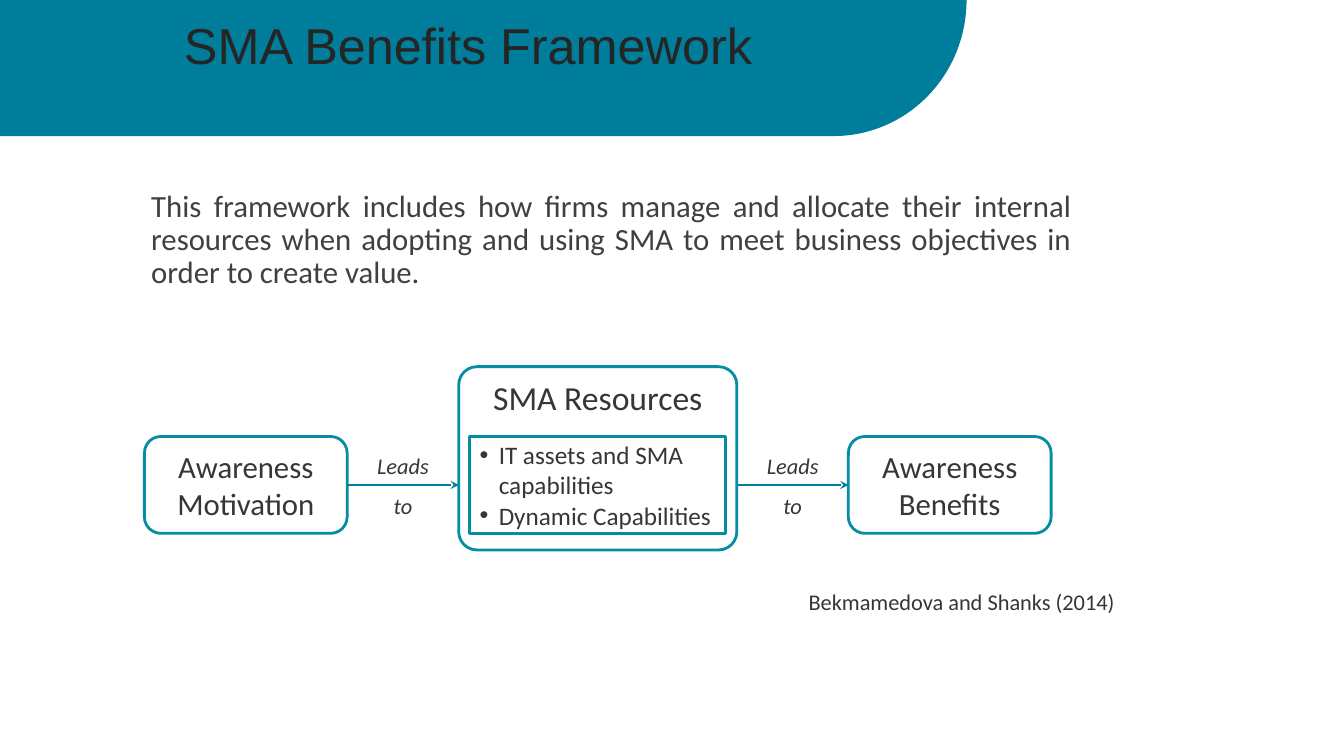
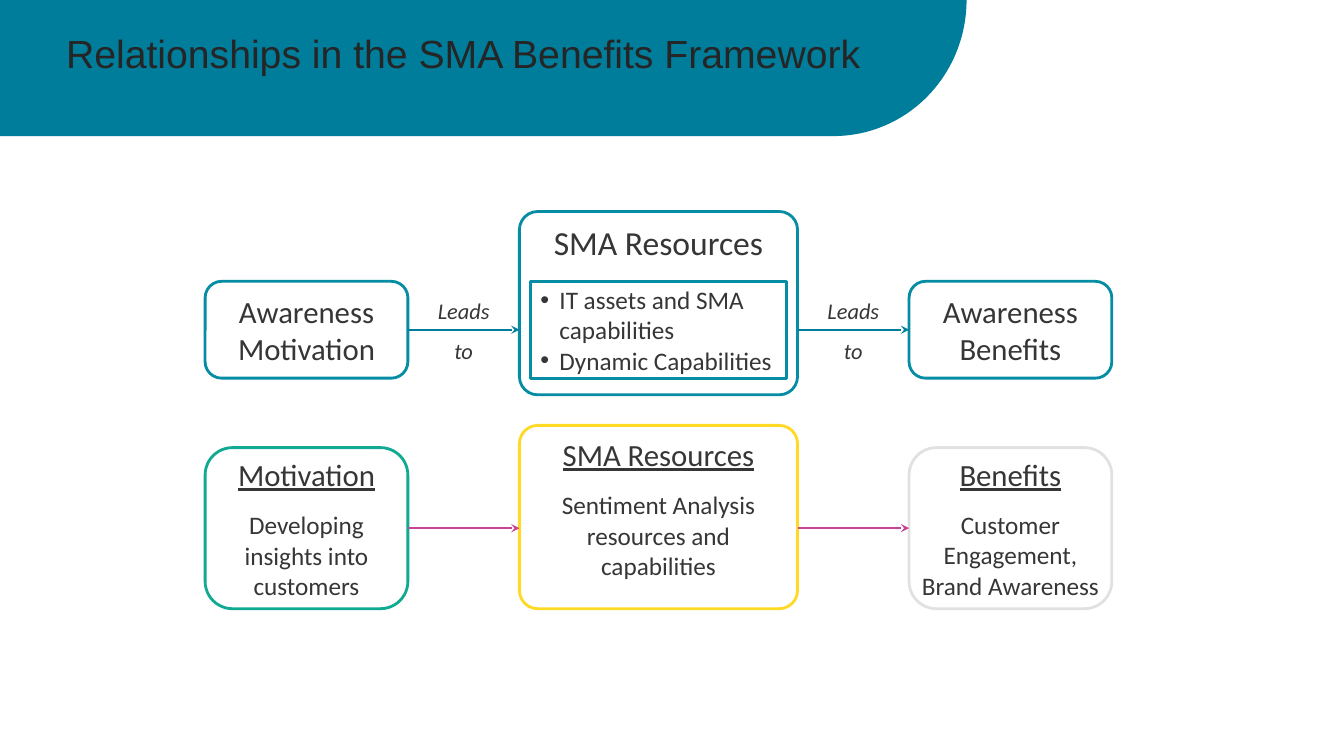
"""Build two slides on the SMA benefits framework."""
from dataclasses import dataclass
from math import cos, pi, sin
from typing import Any

from lxml.etree import SubElement
from pptx import Presentation
from pptx.dml.color import RGBColor
from pptx.enum.shapes import MSO_CONNECTOR as Link, MSO_SHAPE as Kind
from pptx.enum.text import MSO_ANCHOR as Anchor, MSO_AUTO_SIZE as Fit, PP_ALIGN as Align
from pptx.oxml.ns import qn
from pptx.util import Cm, Pt

BAND, EDGE, YELLOW, GREEN, GREY, PINK = "007D9B", "068DA4", "FFD923", "10A991", "E1E1E1", "C74298"
WHITE, INK, TITLE_INK, BODY_INK = "FFFFFF", "373636", "252525", "404040"
SIDE_WIDTH, RESOURCE_WIDTH, RESOURCE_HEIGHT, GAP = 5.11, 7.01, 4.62, 2.81
ASSETS_WIDTH, SIDE_HEIGHT = 6.45, 2.44
LABEL_WIDTH, LABEL_HEIGHT = 1.52, 2.06
CORNER, RESOURCE_CORNER = 0.17, 0.1


@dataclass(frozen=True)
class Para:
    """One paragraph and its look."""
    text: str
    size: int
    color: str = INK
    font: str = "Calibri"
    align: Any = Align.CENTER
    spacing: float = 1.0
    after: int = 0
    italic: bool = False
    underline: bool = False
    bullet: bool = False


@dataclass(frozen=True)
class Area:
    """A rectangle in centimetres."""
    left: float
    top: float
    width: float
    height: float

    def lengths(self) -> tuple:
        """Return left, top, width and height as lengths."""
        return Cm(self.left), Cm(self.top), Cm(self.width), Cm(self.height)


@dataclass(frozen=True)
class Card:
    """A bordered box with text."""
    area: Area
    edge: str
    paras: list
    corner: float = CORNER
    anchor: Any = Anchor.MIDDLE
    inset: tuple = (0.25, 0.13)


def rgb(code: str) -> RGBColor:
    """Turn a hex string into a colour."""
    return RGBColor.from_string(code)


def set_all(target: Any, values: dict) -> None:
    """Set every attribute in the dict on the target."""
    for name, value in values.items():
        setattr(target, name, value)


def write(box: Any, paras: list, anchor: Any = Anchor.TOP, inset: tuple = (0, 0)) -> None:
    """Write formatted paragraphs into a shape."""
    frame = box.text_frame
    side, edge = Cm(inset[0]), Cm(inset[1])
    set_all(frame, {"word_wrap": True, "auto_size": Fit.NONE, "vertical_anchor": anchor,
                    "margin_left": side, "margin_right": side,
                    "margin_top": edge, "margin_bottom": edge})
    for index, item in enumerate(paras):
        para = frame.add_paragraph() if index else frame.paragraphs[0]
        set_all(para, {"alignment": item.align, "line_spacing": item.spacing,
                       "space_before": Pt(0), "space_after": Pt(item.after)})
        indent = Cm(0.48) if item.bullet else 0
        props = para._p.get_or_add_pPr()
        props.set("marL", str(indent))
        props.set("indent", str(-indent))
        if item.bullet:
            SubElement(props, qn("a:buFont"), typeface="Arial")
            SubElement(props, qn("a:buChar"), char="•")
        else:
            SubElement(props, qn("a:buNone"))
        span = para.add_run()
        span.text = item.text
        set_all(span.font, {"size": Pt(item.size), "name": item.font, "bold": False,
                            "italic": item.italic, "underline": item.underline})
        span.font.color.rgb = rgb(item.color)


def add_card(page: Any, card: Card) -> Any:
    """Draw a bordered box and return it."""
    kind = Kind.ROUNDED_RECTANGLE if card.corner else Kind.RECTANGLE
    box = page.shapes.add_shape(kind, *card.area.lengths())
    box.shadow.inherit = False
    if card.corner:
        box.adjustments[0] = card.corner
    box.fill.solid()
    box.fill.fore_color.rgb = rgb(WHITE)
    box.line.color.rgb = rgb(card.edge)
    box.line.width = Pt(2)
    write(box, card.paras, card.anchor, card.inset)
    return box


def add_text(page: Any, area: Area, para: Para, inset: tuple = (0, 0)) -> None:
    """Add a plain text box."""
    write(page.shapes.add_textbox(*area.lengths()), [para], inset=inset)


def add_arrow(page: Any, start: int, end: int, level: int, color: str) -> Any:
    """Draw a horizontal arrow and return it."""
    arrow = page.shapes.add_connector(Link.STRAIGHT, start, level, end, level)
    arrow.line.color.rgb = rgb(color)
    arrow.line.width = Pt(1.5)
    props = arrow.element.spPr
    SubElement(props.find(qn("a:ln")), qn("a:tailEnd"), type="stealth")
    SubElement(props, qn("a:effectLst"))
    return arrow


def add_row(page: Any, cards: list, color: str) -> None:
    """Draw three cards joined by two arrows."""
    first, middle, last = [add_card(page, card) for card in cards]
    level = first.top + first.height // 2
    arrow = add_arrow(page, first.left + first.width, middle.left, level, color)
    arrow.begin_connect(first, 3)
    arrow = add_arrow(page, middle.left + middle.width, last.left, level, color)
    arrow.end_connect(last, 1)


def columns(left: float) -> tuple:
    """Return the left edges of the three cards in a row."""
    middle = left + SIDE_WIDTH + GAP
    return left, middle, middle + RESOURCE_WIDTH + GAP


def add_framework(page: Any, left: float, top: float) -> None:
    """Draw the framework row with its labels and asset list."""
    first, middle, last = columns(left)
    motivation, benefits = [
        Card(Area(x, top, SIDE_WIDTH, SIDE_HEIGHT), EDGE, [Para(text, 22)])
        for x, text in ((first, "Awareness Motivation"), (last, "Awareness Benefits"))]
    resources = Card(Area(middle, top - 1.76, RESOURCE_WIDTH, RESOURCE_HEIGHT), EDGE,
                     [Para("SMA Resources", 24)], RESOURCE_CORNER, Anchor.TOP)
    add_row(page, [motivation, resources, benefits], BAND)
    assets = [Para(text, 18, align=Align.LEFT, bullet=True)
              for text in ("IT assets and SMA capabilities", "Dynamic Capabilities")]
    inner = middle + (RESOURCE_WIDTH - ASSETS_WIDTH) / 2
    add_card(page, Card(Area(inner, top, ASSETS_WIDTH, SIDE_HEIGHT), EDGE, assets, corner=0))
    for right in (middle, last):
        label = right - (GAP + LABEL_WIDTH) / 2
        add_text(page, Area(label, top + 0.05, LABEL_WIDTH, LABEL_HEIGHT),
                 Para("Leads to", 16, spacing=1.5, italic=True))


def add_example(page: Any, left: float, top: float) -> None:
    """Draw the row that applies the framework."""
    first, middle, last = columns(left)

    def texts(heading: str, detail: str) -> list:
        """Pair an underlined heading with its detail."""
        return [Para(heading, 22, underline=True, after=12), Para(detail, 18)]

    add_row(page, [
        Card(Area(first, top, SIDE_WIDTH, 4.06), GREEN,
             texts("Motivation", "Developing insights into customers")),
        Card(Area(middle, top - 0.56, RESOURCE_WIDTH, RESOURCE_HEIGHT), YELLOW,
             texts("SMA Resources", "Sentiment Analysis resources and capabilities"),
             RESOURCE_CORNER, Anchor.TOP),
        Card(Area(last, top, SIDE_WIDTH, 4.06), GREY,
             texts("Benefits", "Customer Engagement, Brand Awareness"),
             anchor=Anchor.TOP, inset=(0, 0)),
    ], PINK)


def add_band(deck: Any, page: Any) -> None:
    """Draw the title band and place it on the slide master."""
    straight, reach, height, steps = 21.01, 3.35, 3.43, 40
    angles = [pi / 2 * step / steps for step in range(steps + 1)]
    curve = [(Cm(straight + reach * cos(a)), Cm(height * sin(a))) for a in angles]
    builder = page.shapes.build_freeform(0, 0)
    builder.add_line_segments(curve + [(0, Cm(height))], close=True)
    band = builder.convert_to_shape()
    band.shadow.inherit = False
    band.fill.solid()
    band.fill.fore_color.rgb = rgb(BAND)
    band.line.fill.background()
    deck.slide_master.shapes.element.insert(2, band.element)


def fill_placeholder(box: Any, area: Area, para: Para) -> None:
    """Move a placeholder and write its text."""
    set_all(box, dict(zip(("left", "top", "width", "height"), area.lengths())))
    write(box, [para])


def add_page(deck: Any, layout: int, title: str, size: int, left: float, top: float) -> Any:
    """Add a slide with a styled title."""
    page = deck.slides.add_slide(deck.slide_layouts[layout])
    fill_placeholder(page.shapes.title, Area(left, top, 23.6, 3.18),
                     Para(title, size, TITLE_INK, "Arial", spacing=0.9))
    return page


def main() -> None:
    """Build and save the deck."""
    deck = Presentation()
    set_all(deck, {"slide_width": Cm(33.87), "slide_height": Cm(19.05)})

    page = add_page(deck, 1, "SMA Benefits Framework", 36, 0, 0.53)
    add_band(deck, page)
    fill_placeholder(page.placeholders[1], Area(3.81, 4.8, 23.19, 3.2), Para(
        "This framework includes how firms manage and allocate their internal resources "
        "when adopting and using SMA to meet business objectives in order to create value.",
        22, BODY_INK, align=Align.JUSTIFY, spacing=0.9))
    add_framework(page, 3.64, 11)
    add_text(page, Area(19.94, 14.68, 8.59, 0.94),
             Para("Bekmamedova and Shanks (2014)", 16), (0.25, 0.13))

    page = add_page(deck, 5, "Relationships in the SMA Benefits Framework", 28, -0.13, 0.86)
    add_framework(page, 5.17, 7.09)
    add_example(page, 5.17, 11.28)
    deck.save("out.pptx")


if __name__ == "__main__":
    main()
